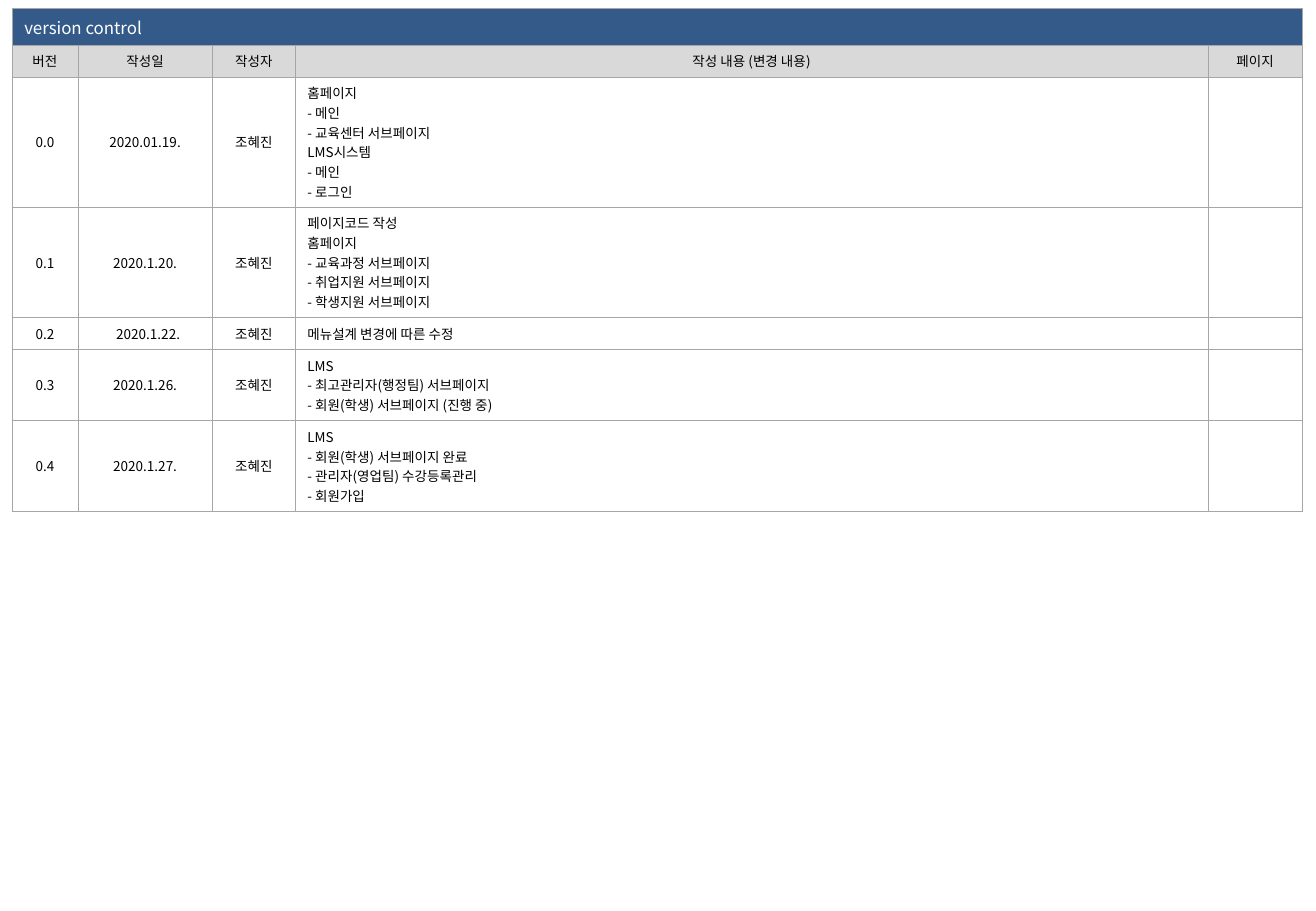
from dataclasses import dataclass

from lxml import etree
from pptx import Presentation
from pptx.dml.color import RGBColor
from pptx.enum import text as tx
from pptx.oxml import ns
from pptx.util import Inches, Pt


@dataclass(frozen=True)
class Theme:
    font: str = "Noto Sans CJK KR"
    title: float = 10
    body: float = 8
    rule: float = 0.25
    navy: str = "335A89"
    grey: str = "D9D9D9"
    line: str = "A6A6A6"
    white: str = "FFFFFF"
    black: str = "000000"


@dataclass(frozen=True)
class Entry:
    version: str
    date: str
    author: str
    notes: tuple[str, ...]
    shift: float = 0


THEME = Theme()
WIDTHS = (0.54, 1.11, 0.68, 7.51, 0.78)
HEADS = ("버전", "작성일", "작성자", "작성 내용 (변경 내용)", "페이지")
NOTES = HEADS.index("작성 내용 (변경 내용)")
DATE = HEADS.index("작성일")
LINE, PAD = 0.16, 0.1
ENTRIES = (
    Entry("0.0", "2020.01.19.", "조혜진",
          ("홈페이지", "- 메인", "- 교육센터 서브페이지", "LMS시스템", "- 메인", "- 로그인")),
    Entry("0.1", "2020.1.20.", "조혜진",
          ("페이지코드 작성", "홈페이지", "- 교육과정 서브페이지",
           "- 취업지원 서브페이지", "- 학생지원 서브페이지")),
    Entry("0.2", "2020.1.22.", "조혜진", ("메뉴설계 변경에 따른 수정",), shift=0.05),
    Entry("0.3", "2020.1.26.", "조혜진",
          ("LMS", "- 최고관리자(행정팀) 서브페이지", "- 회원(학생) 서브페이지 (진행 중)")),
    Entry("0.4", "2020.1.27.", "조혜진",
          ("LMS", "- 회원(학생) 서브페이지 완료", "- 관리자(영업팀) 수강등록관리", "- 회원가입")),
)


def border(cell) -> None:
    props = cell._tc.get_or_add_tcPr()
    for side in ("a:lnL", "a:lnR", "a:lnT", "a:lnB"):
        line = etree.SubElement(props, ns.qn(side), w=str(Pt(THEME.rule)))
        fill = etree.SubElement(line, ns.qn("a:solidFill"))
        etree.SubElement(fill, ns.qn("a:srgbClr"), val=THEME.line)


def write(cell, words: str, fill: str, ink: str = THEME.black,
          size: float = THEME.body, centre: bool = True) -> None:
    border(cell)
    cell.fill.solid()
    cell.fill.fore_color.rgb = RGBColor.from_string(fill)
    cell.vertical_anchor = tx.MSO_ANCHOR.MIDDLE
    cell.margin_left = cell.margin_right = Inches(0.1)
    cell.margin_top = cell.margin_bottom = Inches(PAD / 2)
    cell.text_frame.text = words
    for para in cell.text_frame.paragraphs:
        para.alignment = tx.PP_ALIGN.CENTER if centre else tx.PP_ALIGN.LEFT
        for run in para.runs:
            run.font.name = THEME.font
            run.font.size = Pt(size)
            run.font.color.rgb = RGBColor.from_string(ink)
            etree.SubElement(run.font._element, ns.qn("a:ea"), typeface=THEME.font)
        if not para.runs:  # keeps an empty cell from stretching its row
            etree.SubElement(para._p, ns.qn("a:endParaRPr"), sz=str(int(size * 100)))


def main() -> None:
    deck = Presentation()
    deck.slide_width, deck.slide_height = Inches(10.83), Inches(7.5)
    slide = deck.slides.add_slide(deck.slide_layouts[6])

    heights = [0.29, PAD + LINE] + [PAD + LINE * len(e.notes) for e in ENTRIES]
    table = slide.shapes.add_table(
        len(heights), len(WIDTHS), Inches(0.1), Inches(0.07),
        Inches(sum(WIDTHS)), Inches(sum(heights))).table
    table.horz_banding = table.first_row = False
    for col, width in zip(table.columns, WIDTHS):
        col.width = Inches(width)
    for row, height in zip(table.rows, heights):
        row.height = Inches(height)

    last = len(WIDTHS) - 1
    table.cell(0, 0).merge(table.cell(0, last))
    write(table.cell(0, 0), "version control", THEME.navy, THEME.white,
          THEME.title, centre=False)
    for col in range(1, len(WIDTHS)):
        border(table.cell(0, col))
    for col, head in enumerate(HEADS):
        write(table.cell(1, col), head, THEME.grey)
    for row, entry in enumerate(ENTRIES, start=2):
        words = (entry.version, entry.date, entry.author, "\n".join(entry.notes), "")
        for col, word in enumerate(words):
            write(table.cell(row, col), word, THEME.white, centre=col != NOTES)
        table.cell(row, DATE).margin_left = Inches(0.1 + entry.shift)

    deck.save("out.pptx")


if __name__ == "__main__":
    main()
